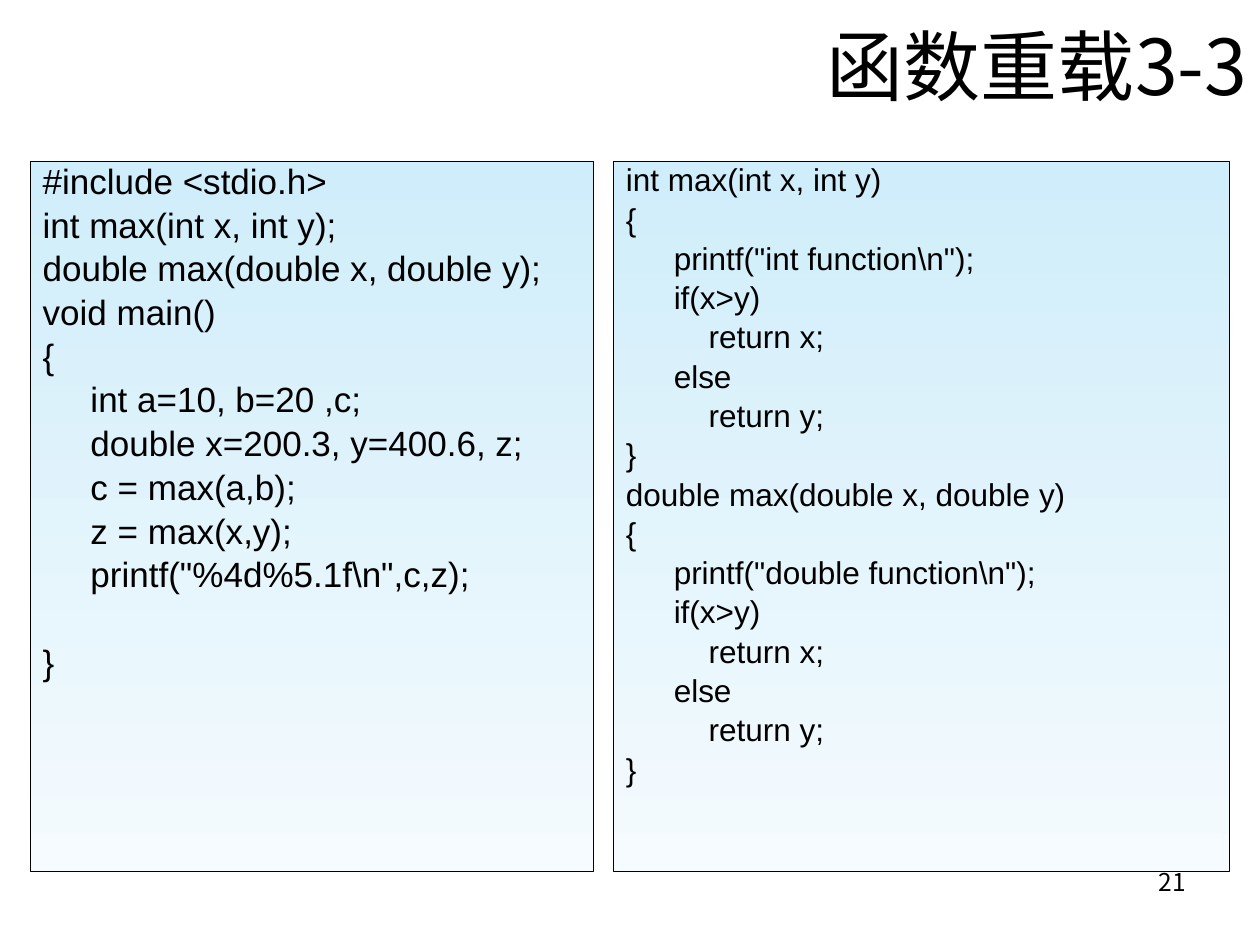
"""Build the function overloading slide with two code panels."""
import pptx
import pptx.dml.color
import pptx.enum.shapes
import pptx.enum.text
import pptx.oxml.ns
import pptx.util
from lxml import etree

Pt = pptx.util.Pt
ALIGN = pptx.enum.text.PP_ALIGN
ANCHOR = pptx.enum.text.MSO_ANCHOR

TITLE = "函数重载3-3"
PAGE_NUMBER = "21"
MAIN_CODE = r"""#include <stdio.h>
int max(int x, int y);
double max(double x, double y);
void main()
{
>int a=10, b=20 ,c;
>double x=200.3, y=400.6, z;
>c = max(a,b);
>z = max(x,y);
>printf("%4d%5.1f\n",c,z);
>
}"""
OVERLOAD_CODE = r"""{kind} max({kind} x, {kind} y)
{{
>printf("{kind} function\n");
>if(x>y)
>    return x;
>else
>    return y;
}}"""
OVERLOADS = "\n".join(OVERLOAD_CODE.format(kind=kind) for kind in ("int", "double"))

HEADING_FONT, CODE_FONT = "Noto Sans CJK SC", "Arial"
PANEL_TOP, PANEL_HEIGHT = 92.2, 406
CODE_INDENT = 27.36
PANELS = [
    {"code": MAIN_CODE, "left": 17.3, "width": 321.8, "size": 20},
    {"code": OVERLOADS, "left": 350.6, "width": 352, "size": 18},
]


def color(value):
    return pptx.dml.color.RGBColor.from_string(value)


def place(shape, left, top, width, height):
    shape.left, shape.top, shape.width, shape.height = map(Pt, (left, top, width, height))


def format_font(paragraph, name, size):
    font = paragraph.font
    font.name, font.size = name, Pt(size)
    font.color.rgb = color("000000")
    defaults = paragraph._p.pPr.find(pptx.oxml.ns.qn("a:defRPr"))
    etree.SubElement(defaults, pptx.oxml.ns.qn("a:ea"), typeface=name)


def fill_heading(frame, text, size):
    frame.word_wrap = True
    frame.auto_size = pptx.enum.text.MSO_AUTO_SIZE.NONE
    frame.text = text
    paragraph = frame.paragraphs[0]
    paragraph.alignment = ALIGN.RIGHT
    format_font(paragraph, HEADING_FONT, size)


def add_panel(slide, code, left, width, size):
    panel = slide.shapes.add_shape(
        pptx.enum.shapes.MSO_SHAPE.RECTANGLE,
        Pt(left), Pt(PANEL_TOP), Pt(width), Pt(PANEL_HEIGHT))
    panel.shadow.inherit = False
    panel.fill.gradient()
    panel.fill.gradient_angle = 270
    for stop, shade in zip(panel.fill.gradient_stops, ("CFEDFA", "F5FBFE")):
        stop.color.rgb = color(shade)
    panel.line.color.rgb = color("000000")
    panel.line.width = Pt(0.5)
    frame = panel.text_frame
    frame.word_wrap = True
    frame.vertical_anchor = ANCHOR.TOP
    frame.text = code.replace("\n>", "\n\t")
    for number, paragraph in enumerate(frame.paragraphs):
        paragraph.alignment = ALIGN.LEFT
        paragraph.line_spacing = 0.8
        paragraph.space_before = Pt(round(size * 0.2875, 2) if number else 0)
        properties = paragraph._p.get_or_add_pPr()
        properties.set("marL", str(Pt(CODE_INDENT)))
        properties.set("indent", str(-Pt(CODE_INDENT)))
        format_font(paragraph, CODE_FONT, size)


def main():
    deck = pptx.Presentation()
    deck.slide_width, deck.slide_height = Pt(720), Pt(540)
    slide = deck.slides.add_slide(deck.slide_layouts[5])
    title = slide.shapes.title
    place(title, 72, 0, 648, 74.2)
    title.text_frame.vertical_anchor = ANCHOR.MIDDLE
    fill_heading(title.text_frame, TITLE, 44)
    page = slide.shapes.add_textbox(Pt(516.2), Pt(491.8), Pt(168.5), Pt(37.4))
    fill_heading(page.text_frame, PAGE_NUMBER, 14)
    for panel in PANELS:
        add_panel(slide, **panel)
    deck.save("out.pptx")


if __name__ == "__main__":
    main()
